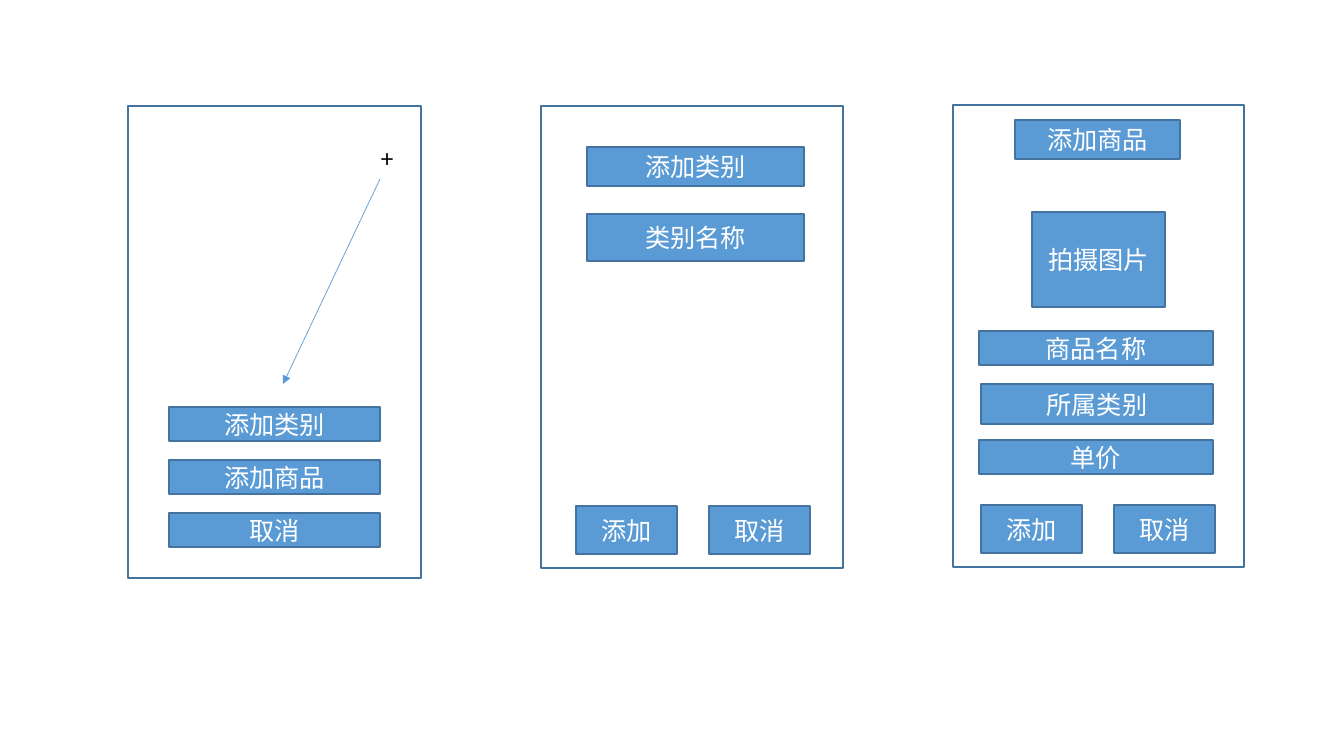
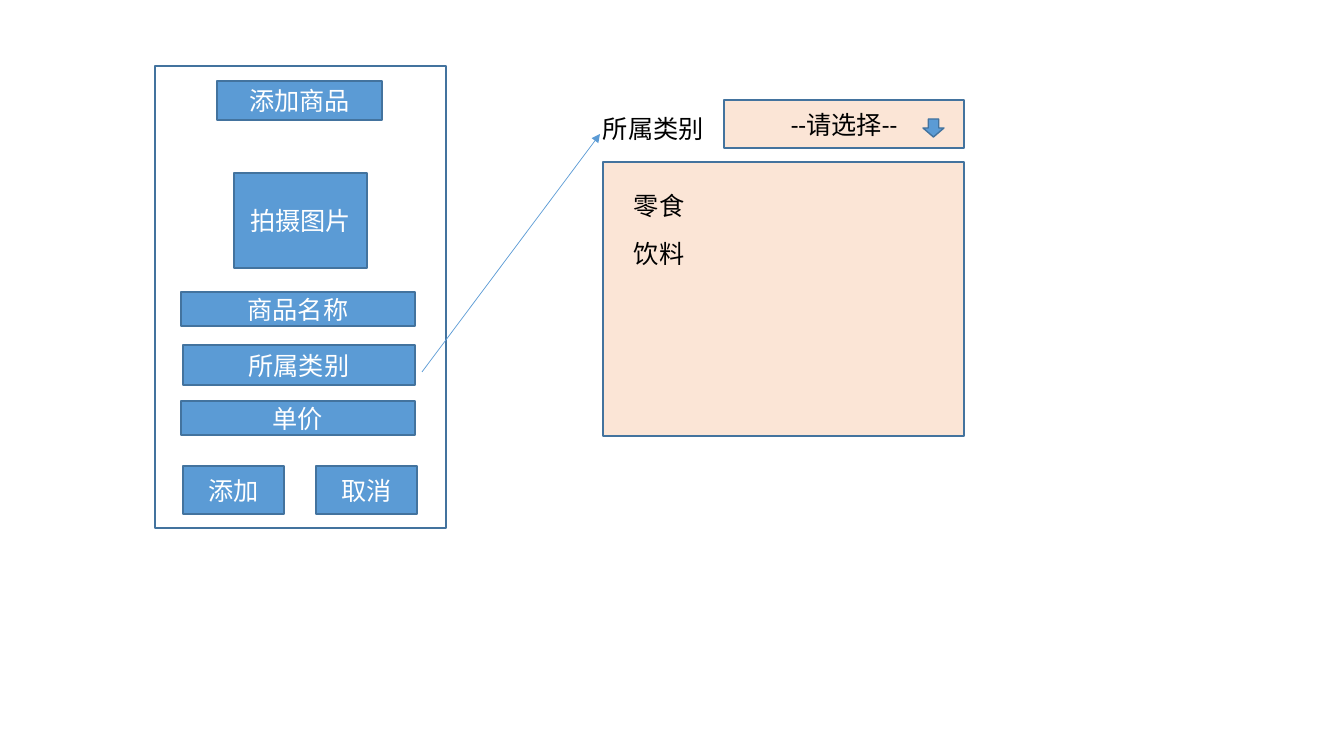
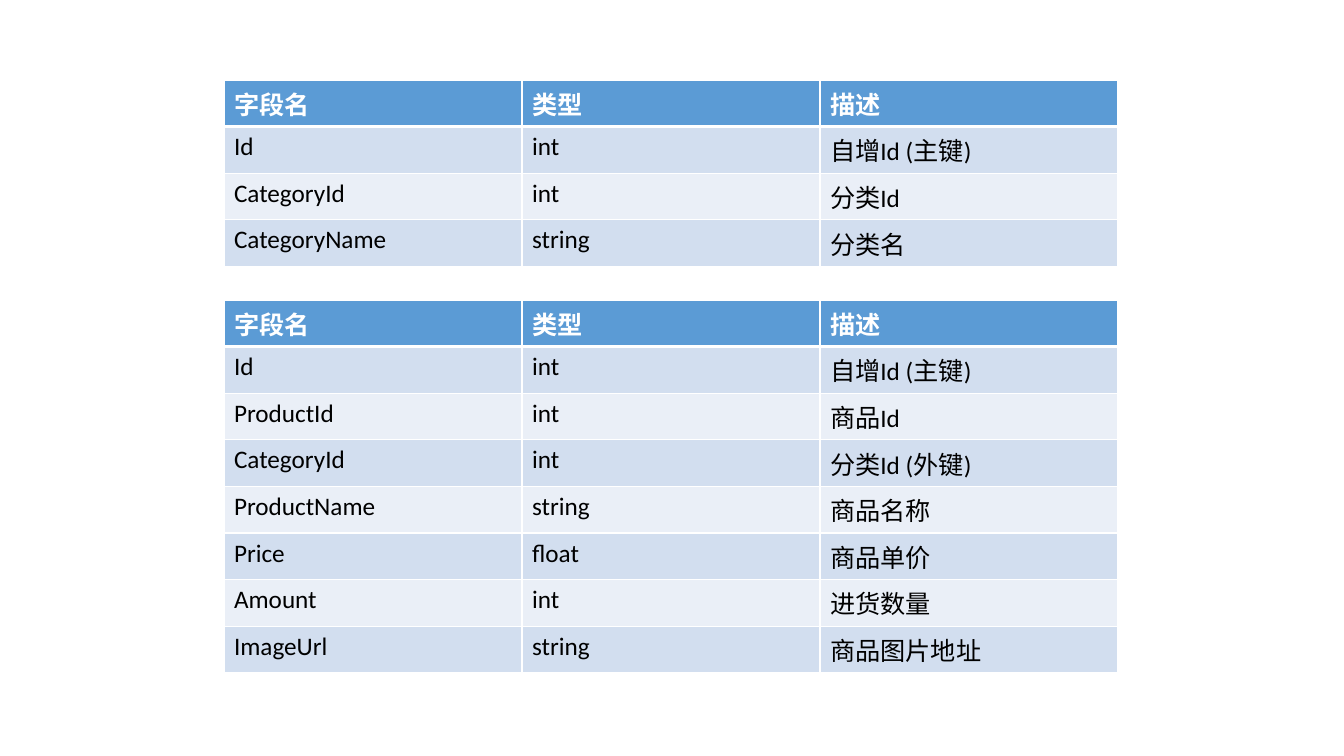
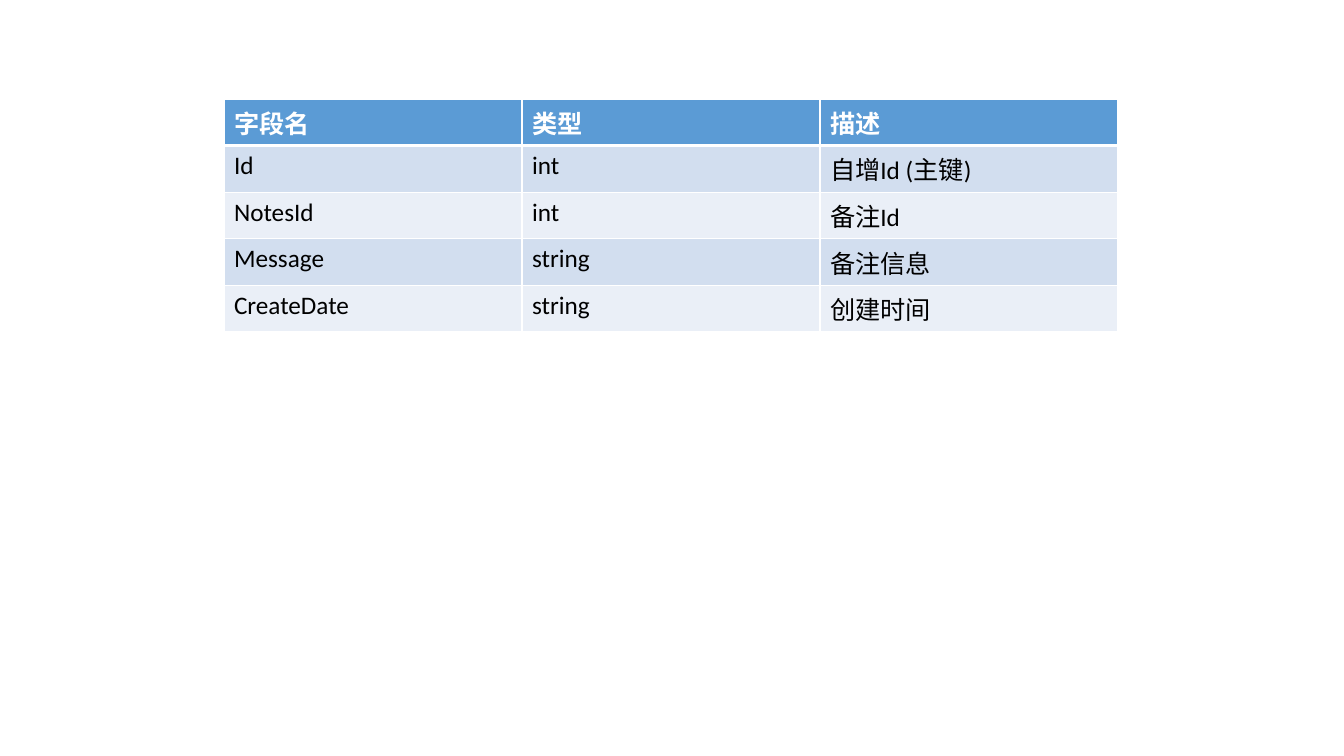
from lxml.etree import SubElement
from pptx import Presentation
from pptx.dml.color import RGBColor
from pptx.enum.lang import MSO_LANGUAGE_ID
from pptx.enum.shapes import MSO_CONNECTOR, MSO_SHAPE
from pptx.enum.text import MSO_ANCHOR, PP_ALIGN
from pptx.oxml.ns import qn
from pptx.util import Emu, Pt

COLORS = {
    "blue": "5B9BD5",
    "outline": "43739E",
    "peach": "FBE5D6",
    "white": "FFFFFF",
    "black": "000000",
    "band_dark": "D2DEEF",
    "band_light": "EAEFF7",
}
FONT = "Calibri"
EMU_PER_PIXEL = 914400 / 100.8
HEADINGS = ("字段名", "类型", "描述")
ID_FIELD = ("Id", "int", "自增Id (主键)")
COLUMN_WIDTH = 298
ROW_HEIGHT = 44


def px(*lengths):
    """Turn pixel lengths into EMU."""
    return [Emu(round(length * EMU_PER_PIXEL)) for length in lengths]


def color(name):
    """Look up a palette colour."""
    return RGBColor.from_string(COLORS[name])


def write(frame, words, ink, bold=False):
    """Put one styled paragraph into a text frame."""
    frame.text = words
    for run in frame.paragraphs[0].runs:
        run.font.name = FONT
        run.font.size = Pt(18)
        run.font.bold = bold
        run.font.color.rgb = color(ink)
        run.font.language_id = MSO_LANGUAGE_ID.SIMPLIFIED_CHINESE


def add_block(shapes, box, words="", fill="blue", ink="white", preset=MSO_SHAPE.RECTANGLE):
    """Draw an outlined shape with centred words."""
    block = shapes.add_shape(preset, *px(*box))
    block.shadow.inherit = False
    block.fill.solid()
    block.fill.fore_color.rgb = color(fill)
    block.line.color.rgb = color("outline")
    block.line.width = Pt(1)
    if words:
        write(block.text_frame, words, ink)
        block.text_frame.vertical_anchor = MSO_ANCHOR.MIDDLE
        block.text_frame.paragraphs[0].alignment = PP_ALIGN.CENTER


def add_label(shapes, box, words):
    """Add plain black text."""
    label = shapes.add_textbox(*px(*box))
    label.text_frame.word_wrap = True
    write(label.text_frame, words, "black")


def add_arrow(shapes, start, end):
    """Draw a thin line with a triangle at its end."""
    arrow = shapes.add_connector(MSO_CONNECTOR.STRAIGHT, *px(*start, *end))
    arrow.line.color.rgb = color("blue")
    arrow.line.width = Pt(0.5)
    SubElement(arrow.line._get_or_add_ln(), qn("a:tailEnd"), type="triangle")
    SubElement(arrow._element.spPr, qn("a:effectLst"))


def add_screen(slide, left, top, width, height):
    """Start a grouped app screen with its frame."""
    shapes = slide.shapes.add_group_shape().shapes
    add_block(shapes, (left, top, width, height), fill="white")
    return shapes


def add_form_buttons(shapes, left, top):
    """Place the confirm and cancel buttons of a form."""
    for index, words in enumerate(("添加", "取消")):
        add_block(shapes, (left + index * 133, top, 101, 48), words)


def menu_screen(slide, left, top):
    """Draw the home screen with its add menu."""
    shapes = add_screen(slide, left, top, 293, 472)
    for index, words in enumerate(("添加类别", "添加商品", "取消")):
        add_block(shapes, (left + 41, top + 301 + index * 53, 211, 34), words)
    add_label(shapes, (left + 243, top + 31, 32, 40), "+")
    add_arrow(shapes, (left + 252, top + 73), (left + 155, top + 278))


def category_screen(slide, left, top):
    """Draw the form that adds a category."""
    shapes = add_screen(slide, left, top, 302, 462)
    add_block(shapes, (left + 46, top + 41, 217, 39), "添加类别")
    add_block(shapes, (left + 46, top + 108, 217, 47), "类别名称")
    add_form_buttons(shapes, left + 35, top + 400)


def product_screen(slide, left, top):
    """Draw the form that adds a product."""
    shapes = add_screen(slide, left, top, 291, 462)
    add_block(shapes, (left + 62, top + 15, 165, 39), "添加商品")
    add_block(shapes, (left + 79, top + 107, 133, 95), "拍摄图片")
    add_block(shapes, (left + 26, top + 226, 234, 34), "商品名称")
    add_block(shapes, (left + 28, top + 279, 232, 40), "所属类别")
    add_block(shapes, (left + 26, top + 335, 234, 34), "单价")
    add_form_buttons(shapes, left + 28, top + 400)


def category_picker(slide, left, top):
    """Draw the category drop-down and its open list."""
    shapes = slide.shapes.add_group_shape().shapes
    add_block(shapes, (left + 131, top, 240, 48), "--请选择--", "peach", "black")
    add_label(shapes, (left, top + 8, 130, 40), "所属类别")
    add_block(shapes, (left + 330, top + 19, 21, 18), preset=MSO_SHAPE.DOWN_ARROW)
    add_block(shapes, (left + 10, top + 62, 361, 274), fill="peach")
    for index, category in enumerate(("零食", "饮料")):
        add_label(shapes, (left + 31, top + 85 + index * 48, 321, 40), category)


def add_borders(cell, top, bottom):
    """Give a cell white borders, with top and bottom widths in points."""
    properties = cell._tc.get_or_add_tcPr()
    for side, points in (("L", 1), ("R", 1), ("T", top), ("B", bottom)):
        edge = SubElement(properties, qn(f"a:ln{side}"), w=str(Pt(points)))
        fill = SubElement(edge, qn("a:solidFill"))
        SubElement(fill, qn("a:srgbClr"), val=COLORS["white"])


def field_table(slide, left, top, fields):
    """List the fields of a database table under a heading row."""
    rows = [HEADINGS, ID_FIELD, *fields]
    size = (COLUMN_WIDTH * len(HEADINGS), ROW_HEIGHT * len(rows))
    table = slide.shapes.add_table(
        len(rows), len(HEADINGS), *px(left, top, *size)
    ).table
    for row_index, values in enumerate(rows):
        heading = row_index == 0
        band = "band_dark" if row_index % 2 else "band_light"
        for column_index, value in enumerate(values):
            cell = table.cell(row_index, column_index)
            add_borders(cell, 3 if row_index == 1 else 1, 3 if heading else 1)
            cell.fill.solid()
            cell.fill.fore_color.rgb = color("blue" if heading else band)
            write(cell.text_frame, value, "white" if heading else "black", heading)


def main():
    """Build and save the four slides."""
    deck = Presentation()
    deck.slide_width, deck.slide_height = px(1344, 756)
    blank = deck.slide_layouts[6]
    screens, picker, catalogue, notes = (
        deck.slides.add_slide(blank) for _ in range(4)
    )

    category_screen(screens, 541, 106)
    menu_screen(screens, 128, 106)
    product_screen(screens, 953, 105)

    product_screen(picker, 155, 66)
    add_arrow(picker.shapes, (422, 372), (600, 134))
    category_picker(picker, 593, 100)

    field_table(catalogue, 224, 80, [
        ("CategoryId", "int", "分类Id"),
        ("CategoryName", "string", "分类名"),
    ])
    field_table(catalogue, 224, 300, [
        ("ProductId", "int", "商品Id"),
        ("CategoryId", "int", "分类Id (外键)"),
        ("ProductName", "string", "商品名称"),
        ("Price", "float", "商品单价"),
        ("Amount", "int", "进货数量"),
        ("ImageUrl", "string", "商品图片地址"),
    ])

    field_table(notes, 224, 99, [
        ("NotesId", "int", "备注Id"),
        ("Message", "string", "备注信息"),
        ("CreateDate", "string", "创建时间"),
    ])
    deck.save("out.pptx")


main()
